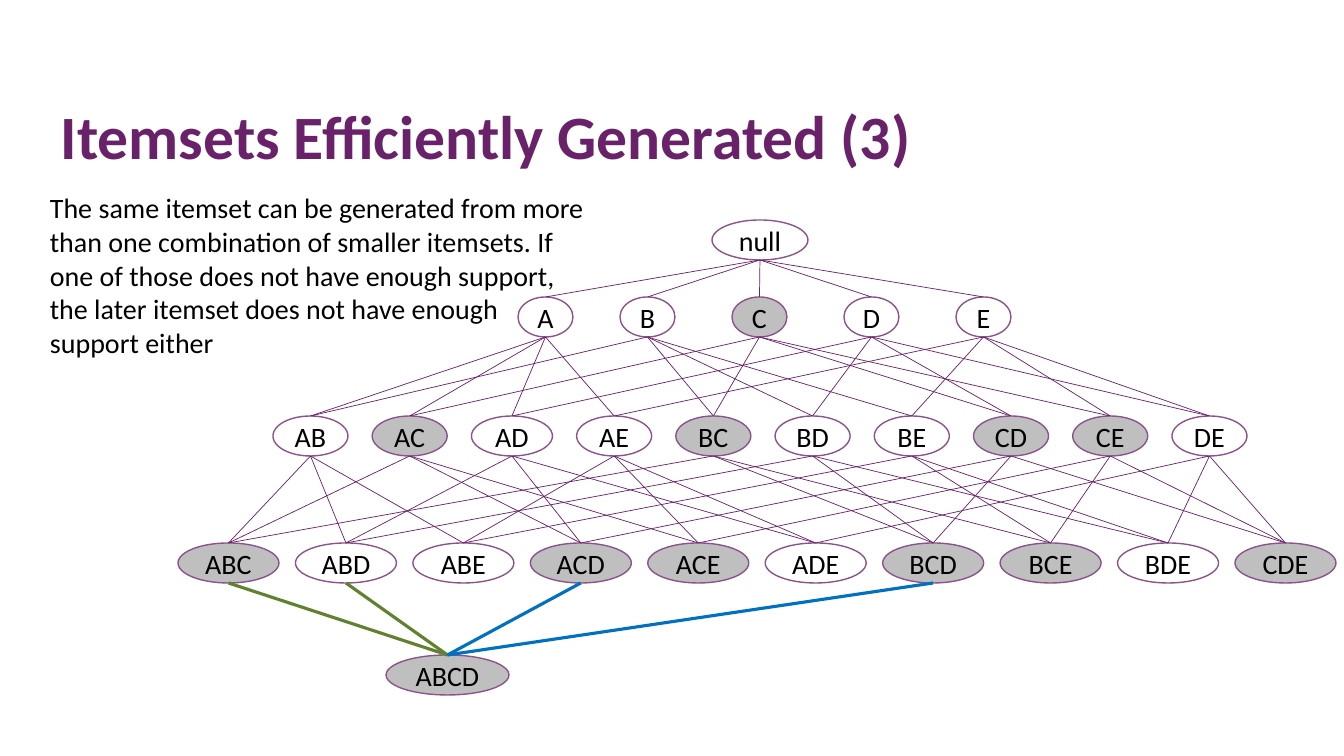
from itertools import combinations as combos
from lxml.etree import SubElement as Sub
from pptx import Presentation
from pptx.dml.color import RGBColor as RGB
from pptx.enum.shapes import MSO_CONNECTOR as Conn, MSO_SHAPE as Kind
from pptx.enum.text import MSO_ANCHOR as Anchor, PP_ALIGN as Align
from pptx.oxml.ns import qn
from pptx.util import Emu, Pt

HUES = {"title": "69216A", "edge": "69216A", "rim": "8B538C", "grey": "BFBFBF",
        "text": "000000", "green": "60822E", "blue": "0070C0"}
SCALE = 914400 / 100.8
TALL = 40
TITLE = "Itemsets Efficiently Generated (3)"
NOTE = ("The same itemset can be generated from more than one combination of "
        "smaller itemsets. If one of those does not have enough support, the "
        "later itemset does not have enough support either")


def px(num):
    """Turn px into EMU."""
    return Emu(round(num * SCALE))


def hue(name):
    """Look up a colour."""
    return RGB.from_string(HUES[name])


def put(item, **vals):
    """Set attributes from a dict of format values."""
    for key, val in vals.items():
        setattr(item, key, val)


def write(frame, words, size=20, tint="text", bold=False, align=Align.LEFT, space=1.0):
    """Write one styled paragraph."""
    para = frame.paragraphs[0]
    put(para, alignment=align, line_spacing=space)
    run = para.add_run()
    run.text = words
    put(run.font, name="Calibri", size=Pt(size), bold=bold)
    run.font.color.rgb = hue(tint)


def text(slide, box, words, anchor=Anchor.TOP, **style):
    """Place a wrapped text block in its box."""
    frame = slide.shapes.add_textbox(*map(px, box)).text_frame
    put(frame, word_wrap=True, vertical_anchor=anchor)
    write(frame, words, **style)


def node(slide, box, name):
    """Draw one itemset, grey when it holds C."""
    oval = slide.shapes.add_shape(Kind.OVAL, *map(px, box))
    oval.shadow.inherit = False
    if "C" in name:
        oval.fill.solid()
        oval.fill.fore_color.rgb = hue("grey")
    else:
        oval.fill.background()
    oval.line.color.rgb = hue("rim")
    oval.line.width = Pt(1)
    put(oval.text_frame, word_wrap=False, vertical_anchor=Anchor.MIDDLE,
        margin_left=0, margin_right=0, margin_top=0, margin_bottom=0)
    write(oval.text_frame, name, align=Align.CENTER)
    return oval


def row(slide, box, names, wide, extra={}):
    """Spread a row of itemsets over its box with equal gaps."""
    left, top, span = box
    sizes = [wide + extra.get(name, 0) for name in names]
    gap = (span - sum(sizes)) / max(len(names) - 1, 1)
    nodes = {}
    for name, size in zip(names, sizes):
        nodes[name] = node(slide, (left, top, size, TALL), name)
        left += size + gap
    return nodes


def edge(slide, upper, lower, tint="edge", width=0.5):
    """Link the bottom of one itemset to the top of another."""
    line = slide.shapes.add_connector(
        Conn.STRAIGHT, upper.left + upper.width // 2, upper.top + upper.height,
        lower.left + lower.width // 2, lower.top)
    line.end_connect(lower, 0)
    line.line.color.rgb = hue(tint)
    line.line.width = Pt(width)
    Sub(line.element.spPr, qn("a:effectLst"))


def sets(size):
    """List the itemsets of one size."""
    return ["".join(part) for part in combos("ABCDE", size)]


def lattice(slide, box):
    """Draw the itemset lattice and its links."""
    left, top = box
    root = row(slide, (left + 534, top, 96), ["null"], 96)
    ones = row(slide, (left + 340, top + 77, 55), "A", 55)
    ones.update(row(slide, (left + 442, top + 77, 391), "BCDE", 55))
    twos = row(slide, (left + 95, top + 196, 974), sets(2), 75, {"AD": 6})
    threes = row(slide, (left, top + 323, 1158), sets(3), 101)
    four = row(slide, (left + 208, top + 435, 123), ["ABCD"], 123)["ABCD"]
    for one in ones.values():
        edge(slide, root["null"], one)
    for above, below in ((ones, twos), (twos, threes)):
        for name, upper in above.items():
            for other, lower in below.items():
                if set(name) <= set(other):
                    edge(slide, upper, lower)
    for name in combos("ABCD", 3):
        tint = "green" if name[:2] == ("A", "B") else "blue"
        edge(slide, threes["".join(name)], four, tint, 2.25)


def main():
    """Build and save the deck."""
    deck = Presentation()
    put(deck, slide_width=px(1344), slide_height=px(756))
    slide = deck.slides.add_slide(deck.slide_layouts[6])
    lattice(slide, (178, 220))
    text(slide, (51, 98, 1159, 84), TITLE, Anchor.MIDDLE,
         size=44, tint="title", bold=True, space=0.9)
    text(slide, (40, 186, 562, 179), NOTE)
    deck.save("out.pptx")


if __name__ == "__main__":
    main()
